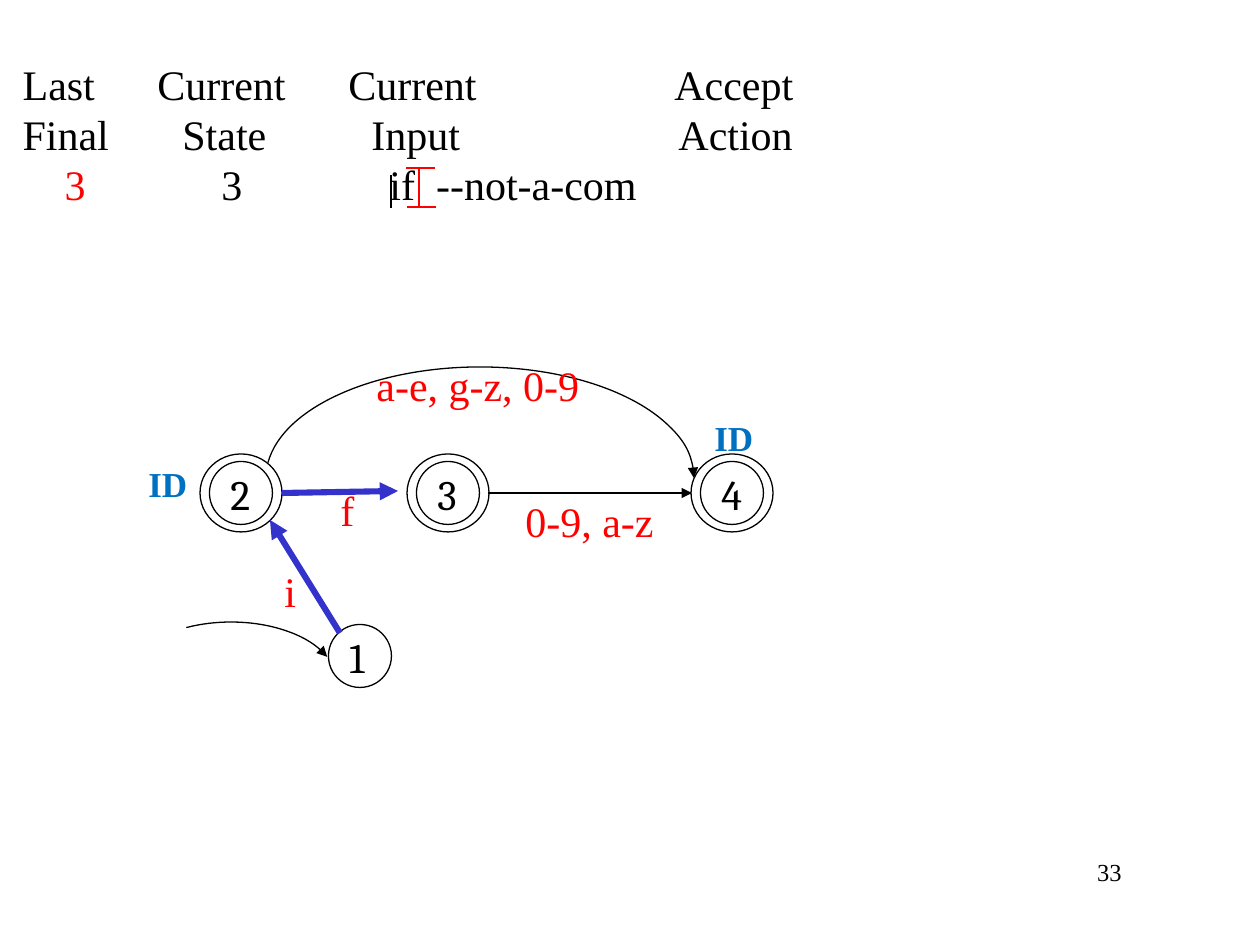
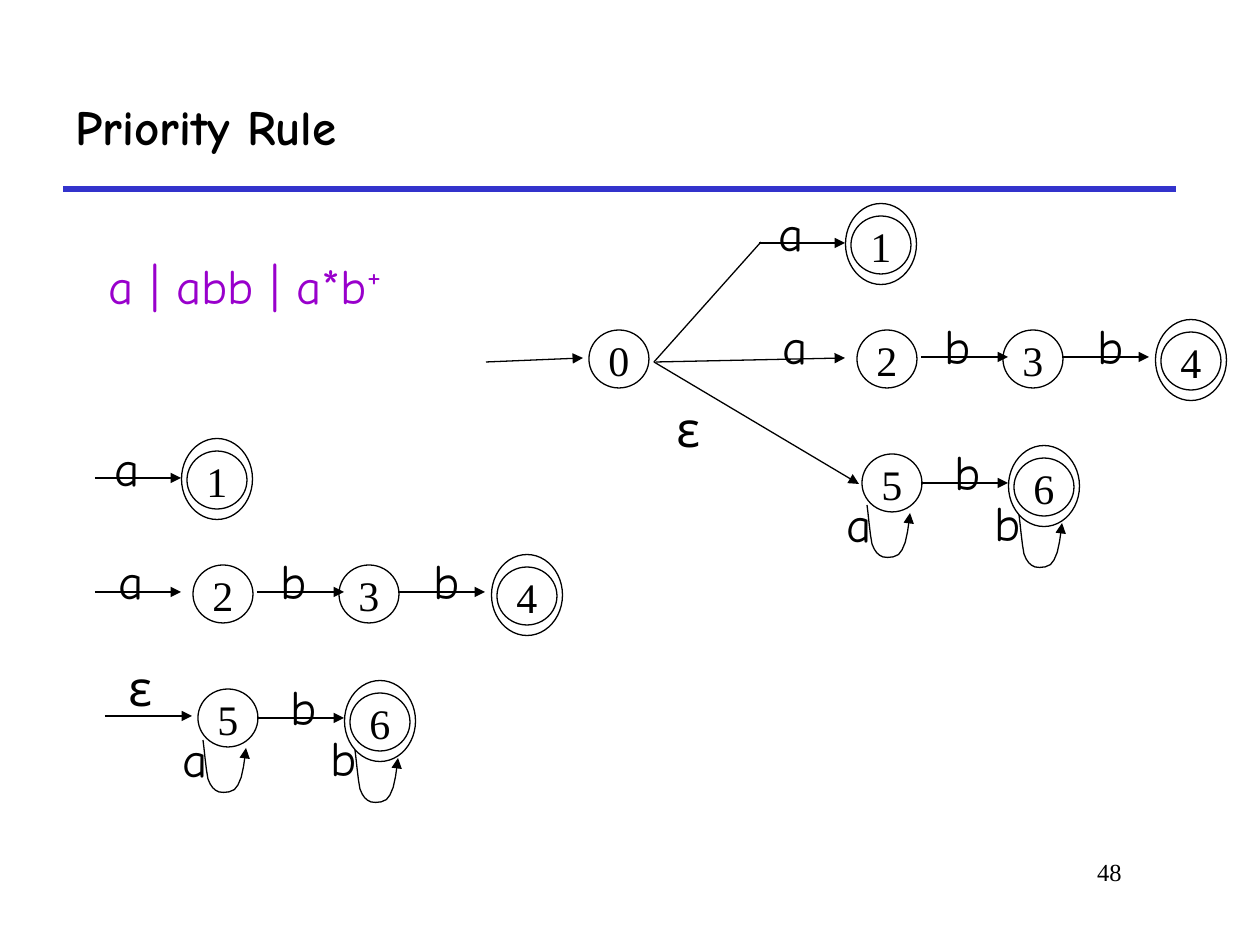
import pptx
import pptx.util
import pptx.dml.color
import pptx.enum.shapes
import pptx.enum.text
import lxml.etree

PX = 914400 / 126
COLORS = {"ink": "000000", "red": "FF0000", "blue": "3333CC",
          "tag": "0070C0", "rule": "9900CC", "paper": "FFFFFF"}
SERIF, COMIC, CAMBRIA = "Times New Roman", "Comic Neue", "Cambria"
KINDS = pptx.enum.shapes.MSO_SHAPE
ALIGN = pptx.enum.text.PP_ALIGN
ANCHOR = pptx.enum.text.MSO_ANCHOR
FIT = pptx.enum.text.MSO_AUTO_SIZE
HEIGHTS = {20: 55, 24: 63, 28: 72}
WIDTHS = {"a": 50, "b": 54, "ε": 48}

# Scan columns: lines of (margin, color, words); the first fills the body
LAST = [(0, "ink", ["Last"]), (0, "ink", ["Final"]), (42, "red", ["3"])]
COLUMNS = [
    (145, 160, [(0, "ink", ["Current"]), (25, "ink", ["State"]),
                (64, "ink", ["3"])]),
    (336, 320, [(0, "ink", ["Current"]), (23, "ink", ["Input"]),
                (41, "ink", ["if", "--not-a-com"])]),
    (662, 160, [(0, "ink", ["Accept"]), (4, "ink", ["Action"])]),
]
SCAN_TOP, SCAN_HEIGHT = 53, 170
WORD_GAP = "600"  # extra width of the space between words, 1/100 pt
MARKS = [("red", 419, 168, 419, 207), ("red", 406, 168, 435, 168),
         ("red", 407, 207, 436, 207), ("ink", 391, 175, 391, 208)]
SCAN_NODES = [("1", 360, 656, False), ("2", 241, 493, True),
              ("3", 448, 493, True), ("4", 732, 493, True)]
SCAN_TEXTS = [("i", 272, 559, 37), ("f", 328, 478, 39),
              ("0-9, a-z", 513, 489, 155), ("a-e, g-z, 0-9", 364, 353, 231)]
SCAN_TAGS = [("ID", 136, 456, 64), ("ID", 702, 410, 64)]
STEPS = [(340, 633, 270, 520), (282, 493, 398, 491)]
# Box, then start and end angle in degrees
ARCS = [((266, 367, 428, 222), 184.15, 0),
        ((125, 622, 212, 120), 230.64, 345.38)]

# The three automata, drawn alone and again inside the joined one
NODES = [("1", 217, 480, True), ("2", 223, 594, False), ("3", 369, 594, False),
         ("4", 527, 596, True), ("5", 228, 718, False), ("6", 380, 722, True)]
EDGES = [(95, 478, 181, 478), (257, 592, 344, 592), (398, 592, 485, 592),
         (257, 718, 344, 718)]
LETTERS = [("a", 102, 431), ("a", 106, 544), ("b", 268, 544), ("b", 421, 544),
           ("b", 278, 670), ("a", 170, 722), ("b", 318, 721)]
LOOPS = [(203, 740), (355, 750)]
CURVE = [[(0, 0), (1, 6), (3, 30), (5, 39)],
         [(5, 39), (8, 47), (11, 50), (16, 52)],
         [(16, 52), (21, 53), (32, 53), (35, 45)],
         [(35, 45), (40, 38), (42, 16), (43, 8)]]
SHIFT = (664, -235)
ALONE = [(95, 592, 181, 592), (105, 716, 192, 716)]
JOINED = [(654, 362, 859, 484), (486, 362, 583, 358), (656, 362, 845, 358)]
BEND = (654, 362, 761, 242)
EPSILONS = [(116, 651), (664, 392)]


def emu(*nums):
    return [round(n * PX) for n in nums]


def rgb(name):
    return pptx.dml.color.RGBColor.from_string(COLORS[name])


def add_run(para, text, size, font, color="ink", bold=False):
    run = para.add_run()
    run.text = text
    run.font.size = pptx.util.Pt(size)
    run.font.name = font
    run.font.bold = bold
    run.font.color.rgb = rgb(color)
    return run


def sub(parent, tag, **attrs):
    return lxml.etree.SubElement(parent, pptx.oxml.ns.qn(tag), attrs)


def ink(shape, color="ink", width=0.75, head=False):
    """Style an outline, with an arrowhead at its end if asked."""
    shape.line.color.rgb = rgb(color)
    shape.line.width = pptx.util.Pt(width)
    if head:
        sub(shape.line._get_or_add_ln(), "a:tailEnd", type="triangle")


def add_line(slide, ends, color="ink", width=0.75, head=False):
    line = slide.shapes.add_connector(
        pptx.enum.shapes.MSO_CONNECTOR.STRAIGHT, *emu(*ends))
    ink(line, color, width, head)
    sub(line._element.spPr, "a:effectLst")


def add_outline(slide, kind, box):
    shape = slide.shapes.add_shape(kind, *emu(*box))
    shape.shadow.inherit = False
    shape.fill.background()
    return shape


def add_label(slide, text, x, y, width, size, font, color="ink", bold=False):
    box = slide.shapes.add_textbox(*emu(x, y, width, HEIGHTS[size]))
    box.text_frame.word_wrap = False
    box.text_frame.auto_size = FIT.SHAPE_TO_FIT_TEXT
    add_run(box.text_frame.paragraphs[0], text, size, font, color, bold)


def add_node(slide, node, kind, inner, outer, lift, font):
    """Draw a state; a final one gets a ring, raised by lift."""
    name, x, y, final = node
    rings = [(inner, 0)] + ([(outer, lift)] if final else [])
    for (w, h), up in rings:
        ink(add_outline(slide, kind, (x - w / 2, y - h / 2 - up, w, h)))
    add_label(slide, name, x - 23, y - 31, 47, 24, font)


def add_loop(slide, x, y):
    points = [(x, y)]
    for a, b, c, d in CURVE:
        for t in (0.25, 0.5, 0.75, 1):
            u = 1 - t
            points.append(tuple(
                start + u**3 * p + 3 * u * u * t * q + 3 * u * t * t * r + t**3 * s
                for start, p, q, r, s in zip((x, y), a, b, c, d)))
    path = slide.shapes.build_freeform(*emu(x, y), scale=1.0)
    path.add_line_segments([emu(*p) for p in points[1:]], close=False)
    loop = path.convert_to_shape()
    loop.shadow.inherit = False
    loop.fill.background()
    ink(loop, head=True)


def place(holder, box, anchor):
    holder.left, holder.top, holder.width, holder.height = emu(*box)
    frame = holder.text_frame
    frame.word_wrap = True
    frame.auto_size = FIT.NONE
    frame.vertical_anchor = anchor
    return frame


def plain(para, margin=0):
    """Drop the bullet and set the left margin."""
    props = para._p.get_or_add_pPr()
    props.set("marL", str(*emu(margin)))
    props.set("indent", "0")
    para.alignment = ALIGN.LEFT
    para.space_before = pptx.util.Pt(0)
    sub(props, "a:buNone")


def fill_column(frame, lines):
    frame.margin_top = emu(5)[0]
    for i, (margin, color, words) in enumerate(lines):
        para = frame.add_paragraph() if i else frame.paragraphs[0]
        plain(para, margin)
        for j, word in enumerate(words):
            if j:
                gap = add_run(para, " ", 24, SERIF, color)
                gap._r.get_or_add_rPr().set("spc", WORD_GAP)
            add_run(para, word, 24, SERIF, color)


def add_slide(deck, number):
    slide = deck.slides.add_slide(deck.slide_layouts[1])
    box = slide.shapes.add_textbox(*emu(955, 851, 179, 63))
    box.text_frame.word_wrap = True
    para = box.text_frame.paragraphs[0]
    para.alignment = ALIGN.RIGHT
    add_run(para, number, 14, SERIF)
    return slide


def add_scan(deck):
    slide = add_slide(deck, "33")
    title = slide.shapes.title._element
    title.getparent().remove(title)
    body = slide.placeholders[1]
    fill_column(place(body, (10, SCAN_TOP, 1218, 819), ANCHOR.TOP), LAST)
    body.fill.solid()
    body.fill.fore_color.rgb = rgb("paper")
    for x, width, lines in COLUMNS:
        box = (x, SCAN_TOP, width, SCAN_HEIGHT)
        column = slide.shapes.add_textbox(*emu(*box))
        fill_column(place(column, box, ANCHOR.TOP), lines)
    for color, *ends in MARKS:
        add_line(slide, ends, color)
    for node in SCAN_NODES:
        add_node(slide, node, KINDS.FLOWCHART_CONNECTOR, (63, 63), (82, 78), 0, CAMBRIA)
    for ends in STEPS:
        add_line(slide, ends, "blue", 3.5, True)
    add_line(slide, (488, 493, 692, 493), head=True)
    for box, *angles in ARCS:
        arc = add_outline(slide, KINDS.ARC, box)
        for i, angle in enumerate(angles):
            arc.adjustments[i] = angle * 0.6
        ink(arc, head=True)
    for label in SCAN_TEXTS:
        add_label(slide, *label, 24, SERIF, "red")
    for label in SCAN_TAGS:
        add_label(slide, *label, 20, SERIF, "tag", True)


def add_automata(slide, dx, dy):
    for name, x, y, final in NODES:
        add_state(slide, (name, x + dx, y + dy, final))
    for x1, y1, x2, y2 in EDGES:
        add_line(slide, (x1 + dx, y1 + dy, x2 + dx, y2 + dy), head=True)
    for x, y in LOOPS:
        add_loop(slide, x + dx, y + dy)
    for text, x, y in LETTERS:
        add_label(slide, text, x + dx, y + dy, WIDTHS[text], 28, COMIC)


def add_state(slide, node):
    add_node(slide, node, KINDS.OVAL, (60, 58), (71, 81), 1, SERIF)


def add_rule(deck):
    slide = add_slide(deck, "48")
    add_line(slide, (63, 189, 1176, 189), "blue", 3)
    frame = place(slide.shapes.title, (63, 63, 1113, 126), ANCHOR.MIDDLE)
    plain(frame.paragraphs[0])
    add_run(frame.paragraphs[0], "Priority Rule", 28, COMIC, bold=True)
    frame = place(slide.placeholders[1], (63, 242, 368, 94), ANCHOR.TOP)
    para = frame.paragraphs[0]
    plain(para, 33)
    add_run(para, "a | abb | a*b", 28, COMIC, "rule")
    plus = add_run(para, "+", 32, COMIC, "rule")
    plus._r.get_or_add_rPr().set("baseline", "30000")
    for shift in ((0, 0), SHIFT):
        add_automata(slide, *shift)
    add_state(slide, ("0", 619, 359, False))
    for ends in ALONE + JOINED:
        add_line(slide, ends, head=True)
    add_line(slide, BEND)
    for x, y in EPSILONS:
        add_label(slide, "ε", x, y, WIDTHS["ε"], 28, COMIC)


def main():
    deck = pptx.Presentation()
    deck.slide_width, deck.slide_height = emu(1260, 945)
    add_scan(deck)
    add_rule(deck)
    deck.save("out.pptx")


if __name__ == "__main__":
    main()
